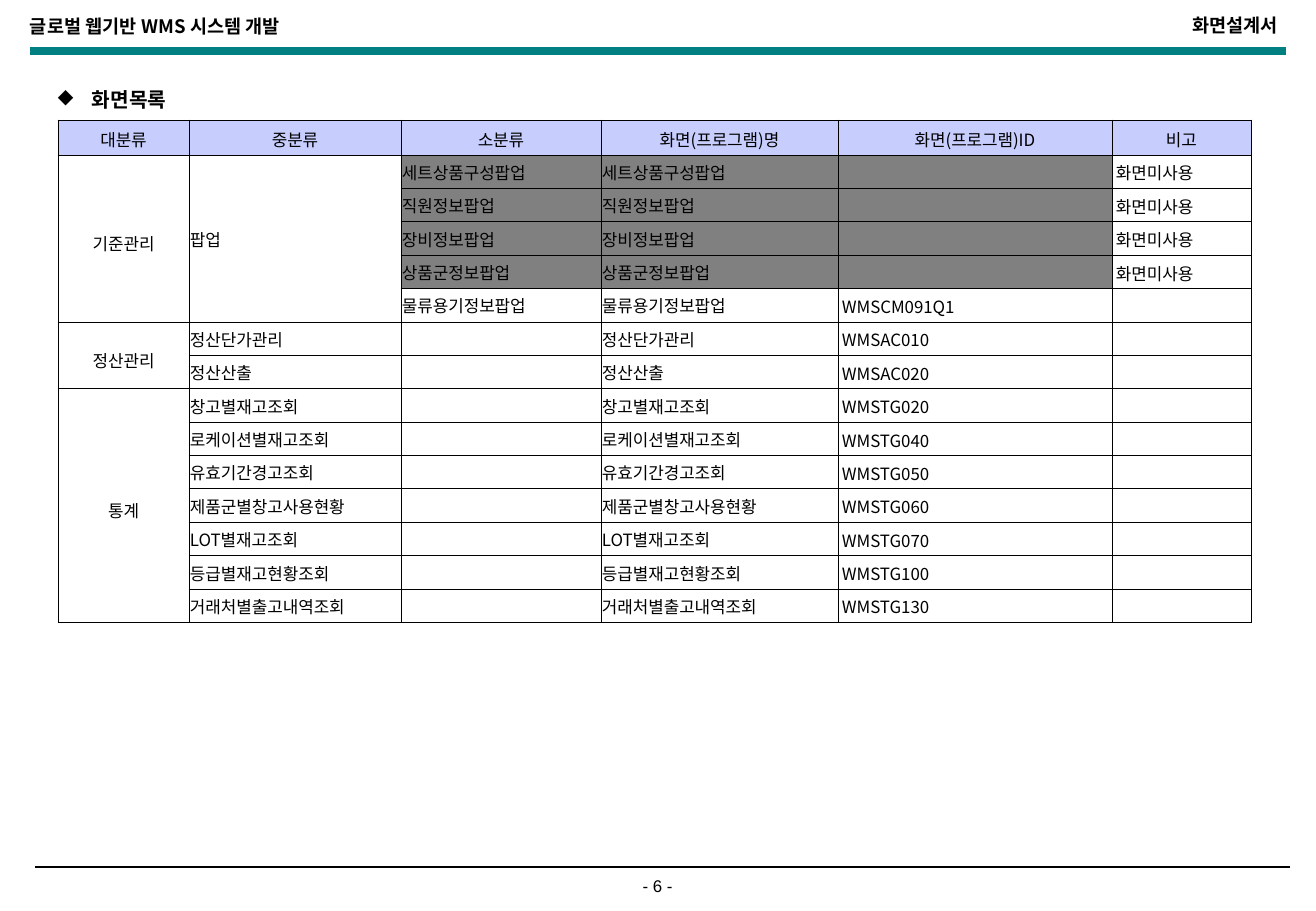
import pptx
import pptx.dml.color
import pptx.enum.shapes
import pptx.enum.text
import pptx.oxml
import pptx.oxml.ns
import pptx.util

PX = 914400 / 121.5
KOREAN = "Noto Sans CJK KR"
COLORS = {"text": "000000", "rule": "008080", "header": "C7CDFD", "unused": "808080"}
ALIGN = pptx.enum.text.PP_ALIGN
qn = pptx.oxml.ns.qn


def px(value):
    return pptx.util.Emu(round(value * PX))


def write(frame, text, size, align, font=KOREAN, bold=False):
    paragraph = frame.paragraphs[0]
    paragraph.text = text
    paragraph.alignment = align
    for run in paragraph.runs:
        run.font.size = pptx.util.Pt(size)
        run.font.bold = bold
        run.font.name = font
        run.font.color.rgb = pptx.dml.color.RGBColor.from_string(COLORS["text"])
        east_asian = pptx.oxml.parse_xml(
            f'<a:ea {pptx.oxml.ns.nsdecls("a")} typeface="{font}"/>')
        run.font._element.find(qn("a:latin")).addnext(east_asian)
    if not text:
        paragraph._p.append(pptx.oxml.parse_xml(
            f'<a:endParaRPr {pptx.oxml.ns.nsdecls("a")} sz="{size * 100}"/>'))
    return paragraph


deck = pptx.Presentation()
deck.slide_width, deck.slide_height = px(1316), px(911)
slide = deck.slides.add_slide(deck.slide_layouts[6])

rules = [(30, 1286, 51, "rule", 4.5), (35, 1290, 867, "text", 1)]
for left, right, y, color, width in rules:
    rule = slide.shapes.add_connector(
        pptx.enum.shapes.MSO_CONNECTOR.STRAIGHT, px(left), px(y), px(right), px(y))
    rule.line.color.rgb = pptx.dml.color.RGBColor.from_string(COLORS[color])
    rule.line.width = pptx.util.Pt(width)
    rule._element.spPr.append(pptx.oxml.parse_xml(
        f'<a:effectLst {pptx.oxml.ns.nsdecls("a")}/>'))

captions = [
    (18, 9, 639, 45, "글로벌 웹기반 WMS 시스템 개발", 11, ALIGN.LEFT, KOREAN, True),
    (861, 8, 429, 45, "화면설계서", 11, ALIGN.RIGHT, KOREAN, True),
    (601, 870, 113, 33, "- 6 -", 10, ALIGN.CENTER, "Arial", False),
    (46, 81, 327, 38, "화면목록", 12, ALIGN.LEFT, KOREAN, True),
]
for left, top, width, height, text, size, align, font, bold in captions:
    caption = slide.shapes.add_textbox(px(left), px(top), px(width), px(height)).text_frame
    caption.word_wrap = True
    caption.margin_left = caption.margin_right = px(12)
    caption.margin_top = caption.margin_bottom = px(6)
    heading = write(caption, text, size, align, font, bold)

heading_props = heading._p.get_or_add_pPr()
heading_props.set("marL", str(px(34)))
heading_props.set("indent", str(-px(34)))
heading_props.append(pptx.oxml.parse_xml(
    f'<a:buChar {pptx.oxml.ns.nsdecls("a")} char="◆"/>'))

headers = ["대분류", "중분류", "소분류", "화면(프로그램)명", "화면(프로그램)ID", "비고"]
popups = ["세트상품구성팝업", "직원정보팝업", "장비정보팝업", "상품군정보팝업"]
screens = [("", "", name, name, "", "화면미사용") for name in popups]
screens.append(("", "", "물류용기정보팝업", "물류용기정보팝업", "WMSCM091Q1", ""))
programs = [
    ("정산단가관리", "WMSAC010"),
    ("정산산출", "WMSAC020"),
    ("창고별재고조회", "WMSTG020"),
    ("로케이션별재고조회", "WMSTG040"),
    ("유효기간경고조회", "WMSTG050"),
    ("제품군별창고사용현황", "WMSTG060"),
    ("LOT별재고조회", "WMSTG070"),
    ("등급별재고현황조회", "WMSTG100"),
    ("거래처별출고내역조회", "WMSTG130"),
]
screens += [("", name, "", name, code, "") for name, code in programs]
rows = [headers] + [list(screen) for screen in screens]
groups = [(1, 5, 0, "기준관리"), (1, 5, 1, "팝업"), (6, 7, 0, "정산관리"), (8, 14, 0, "통계")]
for first, last, column, name in groups:
    rows[first][column] = name

column_widths = [131, 212, 200, 237, 274, 139]
table = slide.shapes.add_table(
    len(rows), len(headers), px(58), px(120), px(sum(column_widths)), px(503)).table
table.first_row = table.horz_banding = False
for column, width in zip(table.columns, column_widths):
    column.width = px(width)
for row in table.rows:
    row.height = px(468) // len(screens)
table.rows[0].height = px(35)

for r, row in enumerate(rows):
    for c, text in enumerate(row):
        cell = table.cell(r, c)
        if r == 0:
            side, top, bottom, fill = 12, 6, 3, "header"
        elif c == 0:
            side, top, bottom, fill = 1, 10, 0, None
        elif c < 4:
            side, top, bottom, fill = 1, 1, 0, None
        else:
            side, top, bottom, fill = 4, 5, 3, None
        if 1 <= r <= len(popups) and 2 <= c <= 4:
            fill = "unused"
        cell.margin_left = cell.margin_right = px(side)
        cell.margin_top, cell.margin_bottom = px(top), px(bottom)
        cell.vertical_anchor = pptx.enum.text.MSO_ANCHOR.MIDDLE
        write(cell.text_frame, text, 10, ALIGN.CENTER if r == 0 or c == 0 else ALIGN.LEFT)
        if fill:
            cell.fill.solid()
            cell.fill.fore_color.rgb = pptx.dml.color.RGBColor.from_string(COLORS[fill])
        else:
            cell.fill.background()
        for i, edge in enumerate(["lnL", "lnR", "lnT", "lnB"]):
            cell._tc.get_or_add_tcPr().insert(i, pptx.oxml.parse_xml(
                f'<a:{edge} {pptx.oxml.ns.nsdecls("a")} w="{pptx.util.Pt(0.5)}"><a:solidFill>'
                f'<a:srgbClr val="{COLORS["text"]}"/></a:solidFill></a:{edge}>'))

for first, last, column, name in groups:
    table.cell(first, column).merge(table.cell(last, column))

deck.save("out.pptx")
